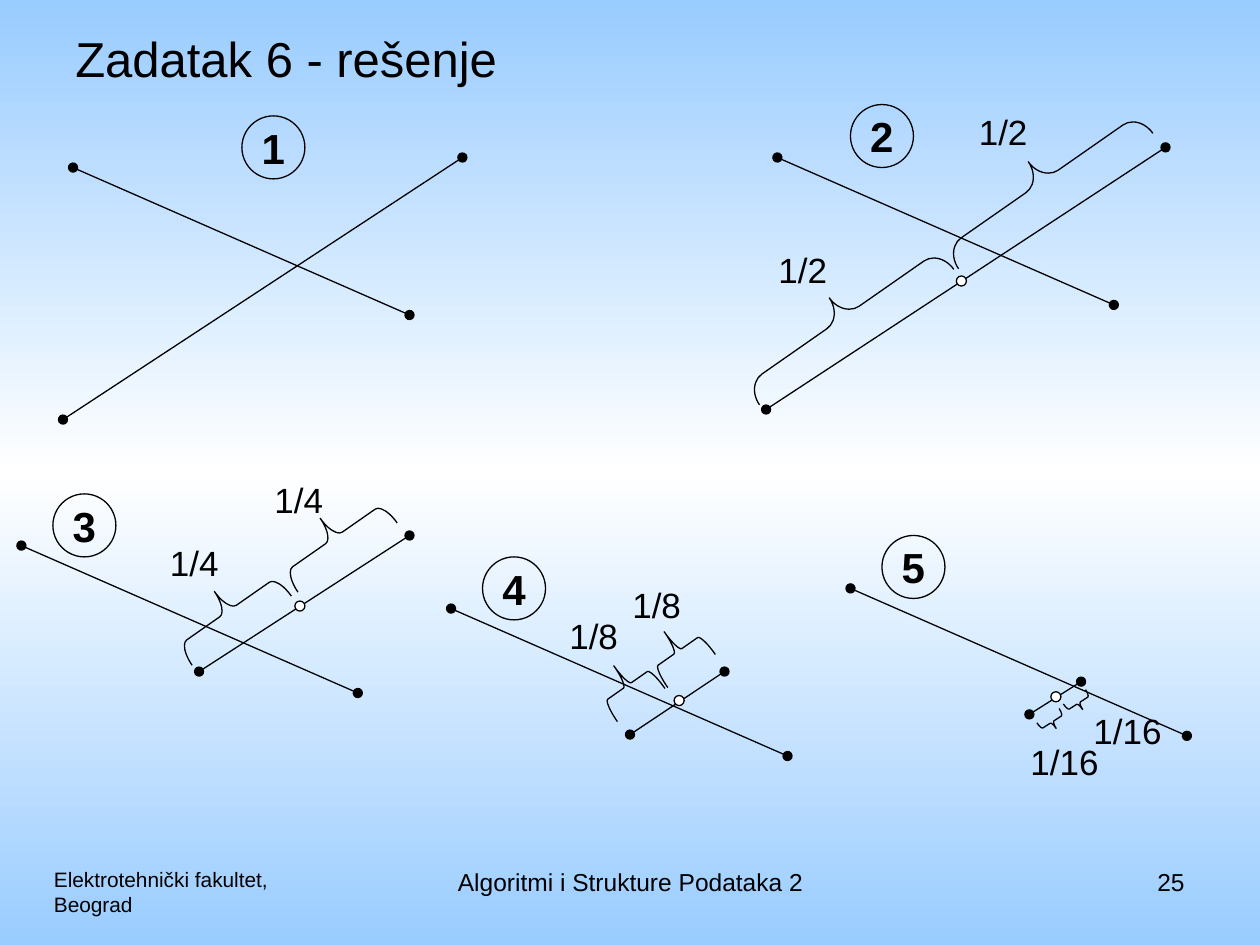
from copy import deepcopy

from pptx import Presentation
from pptx.dml.color import RGBColor
from pptx.enum.shapes import MSO_CONNECTOR, MSO_SHAPE
from pptx.enum.text import MSO_ANCHOR, MSO_AUTO_SIZE, PP_ALIGN
from pptx.oxml.ns import qn
from pptx.oxml.xmlchemy import OxmlElement
from pptx.util import Inches, Pt

OVAL, BRACE = MSO_SHAPE.OVAL, MSO_SHAPE.LEFT_BRACE
STRAIGHT = MSO_CONNECTOR.STRAIGHT
LEFT, CENTER, RIGHT = PP_ALIGN.LEFT, PP_ALIGN.CENTER, PP_ALIGN.RIGHT
TOP, MIDDLE = MSO_ANCHOR.TOP, MSO_ANCHOR.MIDDLE

# Content: steps of the bisection; every point is (x, y) in inches
BLACK, WHITE, SKY = "000000", "FFFFFF", "99CCFF"
BACKGROUND = [(0, SKY), (0.5, WHITE), (1, SKY)]
FIXED_RUN = (2.67, 1.17)  # the fixed segment is the same in every step
BADGE, MIDPOINT = 0.5, 0.08  # circle diameters
BEND = 0.0833  # bend of a brace as a share of its length
WIDE = {"width": 0.38, "rotation": 55.1}
SMALL = {"width": 0.12, "rotation": 237.3}
STEPS = [
    {"number": "1", "badge": (1.92, 0.92), "fixed": (0.58, 1.33),
     "halved": [(3.67, 1.25), (0.5, 3.33)]},
    {"number": "2", "badge": (6.75, 0.83), "fixed": (6.17, 1.25),
     "halved": [(9.25, 1.17), (6.08, 3.25)], "middle": (7.63, 2.23),
     "part": "1/2", "labels": [(6.08, 1.92), (7.67, 0.83)],
     "braces": [(6.69, 2.52), (8.27, 1.44)], "length": 1.88, "style": WIDE},
    {"number": "3", "badge": (0.42, 3.92), "fixed": (0.17, 4.33),
     "halved": [(3.25, 4.25), (1.58, 5.33)], "middle": (2.38, 4.81),
     "part": "1/4", "labels": [(1.25, 4.25), (2.08, 3.75)],
     "braces": [(1.81, 4.85), (2.65, 4.27)], "length": 0.96, "style": WIDE},
    {"number": "4", "badge": (3.83, 4.42), "fixed": (3.58, 4.83),
     "halved": [(5.75, 5.33), (5, 5.83)], "middle": (5.39, 5.56),
     "part": "1/8", "labels": [(4.42, 4.83), (4.92, 4.58)],
     "braces": [(4.98, 5.44), (5.38, 5.17)], "length": 0.46, "style": WIDE},
    {"number": "5", "badge": (7, 4.25), "fixed": (6.75, 4.67),
     "halved": [(8.58, 5.41), (8.17, 5.67)], "middle": (8.38, 5.53),
     "part": "1/16", "labels": [(8.08, 5.83), (8.58, 5.58)],
     "braces": [(8.56, 5.58), (8.35, 5.73)], "length": 0.21, "style": SMALL},
]
LABEL_WIDTHS = {3: 0.6, 4: 0.75}  # by number of characters
# Title and footer: lines, left, top, width, height, size, alignment, anchor
TEXTS = [
    (["Zadatak 6 - rešenje"], 0.5, 0.17, 9, 0.58, 28, LEFT, MIDDLE),
    (["Elektrotehnički fakultet,", "Beograd"],
     0.33, 6.83, 3, 0.52, 11.9, LEFT, TOP),
    (["Algoritmi i Strukture Podataka 2"],
     3.42, 6.83, 3.17, 0.52, 14, CENTER, TOP),
    (["25"], 7.17, 6.83, 2.33, 0.52, 14, RIGHT, TOP),
]


def color(value):
    return RGBColor.from_string(value)


def write(box, lines, size, align=LEFT, anchor=TOP, wrap=True, bold=False):
    frame = box.text_frame
    frame_format = {"word_wrap": wrap, "vertical_anchor": anchor}
    for name, value in frame_format.items():
        setattr(frame, name, value)
    font_format = {"name": "Arial", "size": Pt(size), "bold": bold}
    for index, line in enumerate(lines):
        para = frame.add_paragraph() if index else frame.paragraphs[0]
        para.alignment = align
        span = para.add_run()
        span.text = line
        for name, value in font_format.items():
            setattr(span.font, name, value)
        span.font.color.rgb = color(BLACK)


def outline(part):
    part.line.width = Pt(0.75)
    part.line.color.rgb = color(BLACK)


def add_shape(page, kind, left, top, width, height, fill=None):
    shape = page.shapes.add_shape(kind, *map(Inches, (left, top, width, height)))
    shape.shadow.inherit = False
    outline(shape)
    if fill:
        shape.fill.solid()
        shape.fill.fore_color.rgb = color(fill)
    else:
        shape.fill.background()
    return shape


def add_segment(page, start, end):
    segment = page.shapes.add_connector(STRAIGHT, *map(Inches, (*start, *end)))
    outline(segment)
    for tag in ("a:headEnd", "a:tailEnd"):
        dot = OxmlElement(tag)
        dot.set("type", "oval")
        segment.line._get_or_add_ln().append(dot)
    segment._element.spPr.append(OxmlElement("a:effectLst"))


def add_brace(page, center, length, width, rotation):
    x, y = center
    brace = add_shape(page, BRACE, x - width / 2, y - length / 2, width, length)
    brace.rotation = rotation
    brace.adjustments[0] = BEND * length / width


def add_step(page, step):
    x, y = step["fixed"]
    add_segment(page, (x, y), (x + FIXED_RUN[0], y + FIXED_RUN[1]))
    add_segment(page, *step["halved"])
    badge = add_shape(page, OVAL, *step["badge"], BADGE, BADGE)
    write(badge, [step["number"]], 24, CENTER, MIDDLE, wrap=False, bold=True)
    if "middle" not in step:
        return
    x, y = step["middle"]
    add_shape(page, OVAL, x - MIDPOINT / 2, y - MIDPOINT / 2,
              MIDPOINT, MIDPOINT, WHITE)
    label_width = LABEL_WIDTHS[len(step["part"])]
    for center, corner in zip(step["braces"], step["labels"]):
        add_brace(page, center, step["length"], **step["style"])
        box = page.shapes.add_textbox(*map(Inches, (*corner, label_width, 0.44)))
        write(box, [step["part"]], 20, wrap=False)
        box.text_frame.auto_size = MSO_AUTO_SIZE.SHAPE_TO_FIT_TEXT


def paint_background(page):
    fill = page.background.fill
    fill.gradient()
    fill.gradient_angle = 270
    stops = page._element.find(".//" + qn("a:gsLst"))
    stops.insert(1, deepcopy(stops[0]))
    for stop, (position, value) in zip(fill.gradient_stops, BACKGROUND):
        stop.position = position
        stop.color.rgb = color(value)


def main():
    deck = Presentation()
    deck.slide_width, deck.slide_height = Inches(10), Inches(7.5)
    page = deck.slides.add_slide(deck.slide_layouts[6])
    paint_background(page)
    for lines, left, top, width, height, size, align, anchor in TEXTS:
        box = page.shapes.add_textbox(*map(Inches, (left, top, width, height)))
        write(box, lines, size, align, anchor)
    for step in STEPS:
        add_step(page, step)
    deck.save("out.pptx")


if __name__ == "__main__":
    main()
